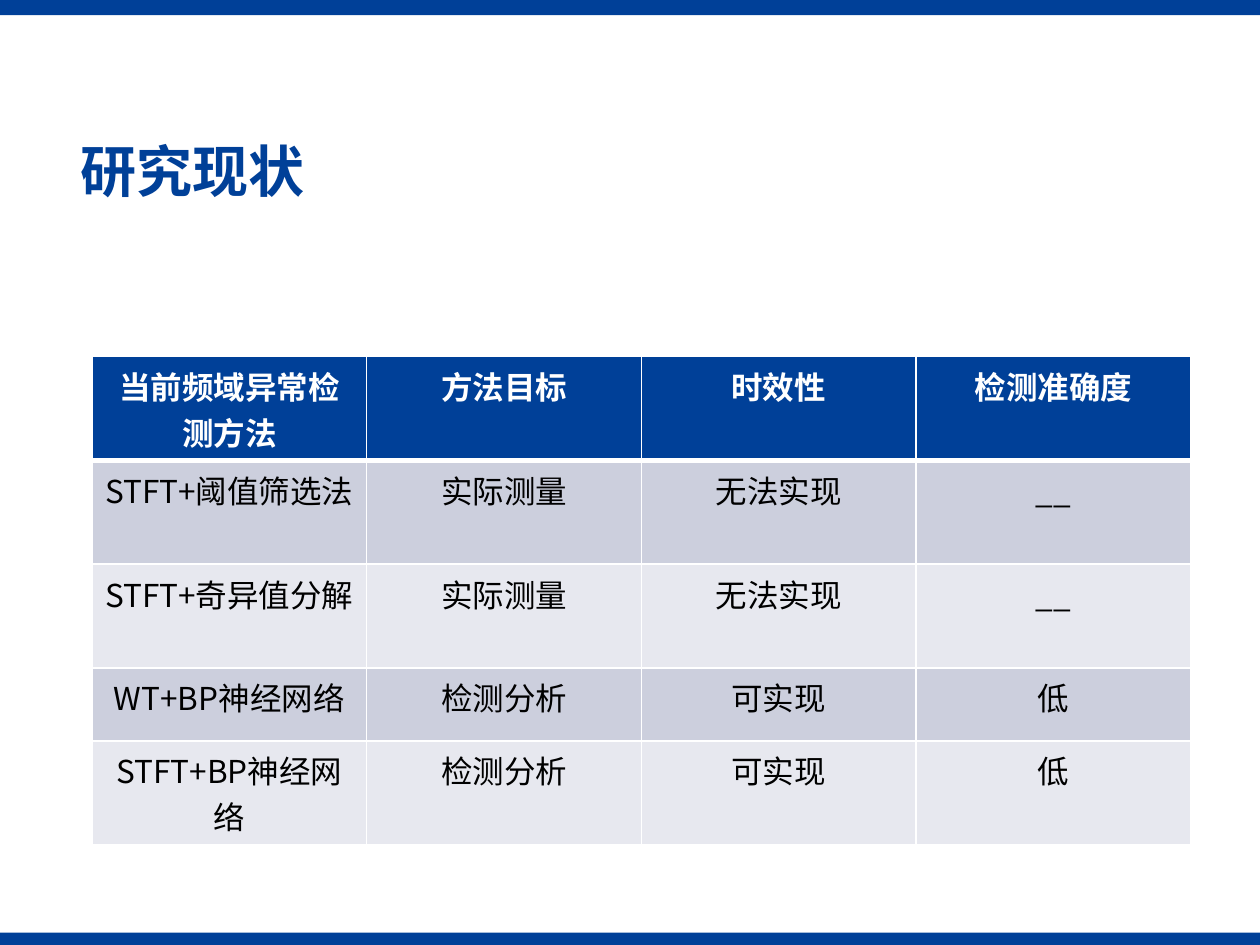
from dataclasses import dataclass

from lxml import etree
from pptx import Presentation
from pptx.dml.color import RGBColor
from pptx.enum.shapes import MSO_SHAPE
from pptx.enum.text import MSO_ANCHOR, MSO_AUTO_SIZE, PP_ALIGN
from pptx.oxml.ns import qn
from pptx.util import Inches, Pt

RECTANGLE = MSO_SHAPE.RECTANGLE
MIDDLE = MSO_ANCHOR.MIDDLE
NO_AUTOFIT = MSO_AUTO_SIZE.NONE
LEFT, CENTER = PP_ALIGN.LEFT, PP_ALIGN.CENTER

WIDTH, HEIGHT = Inches(10), Inches(7.5)
TITLE_ONLY = 5
FONT = "Noto Sans CJK SC"
BLUE, WHITE, BLACK = "004098", "FFFFFF", "000000"
BANDS = ("CCCFDD", "E7E8EF")

HEADINGS = ("当前频域异常检测方法", "方法目标", "时效性", "检测准确度")
METHODS = (
    ("STFT+阈值筛选法", "实际测量", "无法实现", "__"),
    ("STFT+奇异值分解", "实际测量", "无法实现", "__"),
    ("WT+BP神经网络", "检测分析", "可实现", "低"),
    ("STFT+BP神经网络", "检测分析", "可实现", "低"),
)
COLUMN_WIDTH = 2.18
ROW_HEIGHTS = (0.58, 0.74, 0.58, 0.58, 0.58)


@dataclass(frozen=True)
class Bar:
    """A full-width bar, placed by shares of the slide height."""
    top: float
    height: float


@dataclass(frozen=True)
class RowStyle:
    fill: str
    color: str
    bold: bool
    rule_below: float


BARS = (Bar(0, 0.016), Bar(0.987, 0.013))
HEADER_STYLE = RowStyle(BLUE, WHITE, True, 3)


def rgb(color: str) -> RGBColor:
    return RGBColor.from_string(color)


def write(frame, text: str, *, size: float, color: str,
          bold: bool = False, align=LEFT, spacing: float = 1.0) -> None:
    paragraph = frame.paragraphs[0]
    paragraph.alignment = align
    paragraph.line_spacing = spacing
    run = paragraph.add_run()
    run.text = text
    run.font.name = FONT
    run.font.size = Pt(size)
    run.font.bold = bold
    run.font.color.rgb = rgb(color)
    etree.SubElement(run.font._element, qn("a:ea"), typeface=FONT)


def draw_bar(slide, bar: Bar) -> None:
    shape = slide.shapes.add_shape(
        RECTANGLE, 0, int(HEIGHT * bar.top), WIDTH, int(HEIGHT * bar.height))
    shape.shadow.inherit = False
    shape.fill.solid()
    shape.fill.fore_color.rgb = rgb(BLUE)
    shape.line.fill.background()


def draw_borders(cell, widths: dict[str, float]) -> None:
    properties = cell._tc.get_or_add_tcPr()
    for side, width in widths.items():
        line = etree.SubElement(properties, qn(f"a:ln{side}"), w=str(Pt(width)))
        fill = etree.SubElement(line, qn("a:solidFill"))
        etree.SubElement(fill, qn("a:srgbClr"), val=WHITE)


def fill_row(cells, texts: tuple[str, ...], style: RowStyle, rule_above: float) -> None:
    for cell, text in zip(cells, texts):
        draw_borders(cell, {"L": 1, "R": 1, "T": rule_above, "B": style.rule_below})
        cell.fill.solid()
        cell.fill.fore_color.rgb = rgb(style.fill)
        write(cell.text_frame, text, size=18, color=style.color,
              bold=style.bold, align=CENTER)


def draw_methods(slide) -> None:
    rows, columns = len(METHODS) + 1, len(HEADINGS)
    table = slide.shapes.add_table(
        rows, columns, Inches(0.73), Inches(2.83),
        Inches(COLUMN_WIDTH * columns), Inches(sum(ROW_HEIGHTS))).table
    for column in table.columns:
        column.width = Inches(COLUMN_WIDTH)
    for row, height in zip(table.rows, ROW_HEIGHTS):
        row.height = Inches(height)

    styles = [HEADER_STYLE] + [
        RowStyle(BANDS[i % 2], BLACK, False, 1) for i in range(len(METHODS))]
    rule_above = 1
    for row, texts, style in zip(table.rows, (HEADINGS, *METHODS), styles):
        fill_row(row.cells, texts, style, rule_above)
        rule_above = style.rule_below


def place_title(slide, text: str) -> None:
    title = slide.shapes.title
    title.left, title.top = Inches(0.54), Inches(1.07)
    title.width, title.height = Inches(9.16), Inches(0.63)
    frame = title.text_frame
    frame.vertical_anchor = MIDDLE
    frame.auto_size = NO_AUTOFIT
    write(frame, text, size=32, color=BLUE, bold=True, spacing=0.9)


def main() -> None:
    deck = Presentation()
    deck.slide_width, deck.slide_height = WIDTH, HEIGHT
    slide = deck.slides.add_slide(deck.slide_layouts[TITLE_ONLY])

    # Bars along the top and bottom edges
    for bar in BARS:
        draw_bar(slide, bar)

    # Title and comparison of methods
    place_title(slide, "研究现状")
    draw_methods(slide)
    deck.save("out.pptx")


if __name__ == "__main__":
    main()
